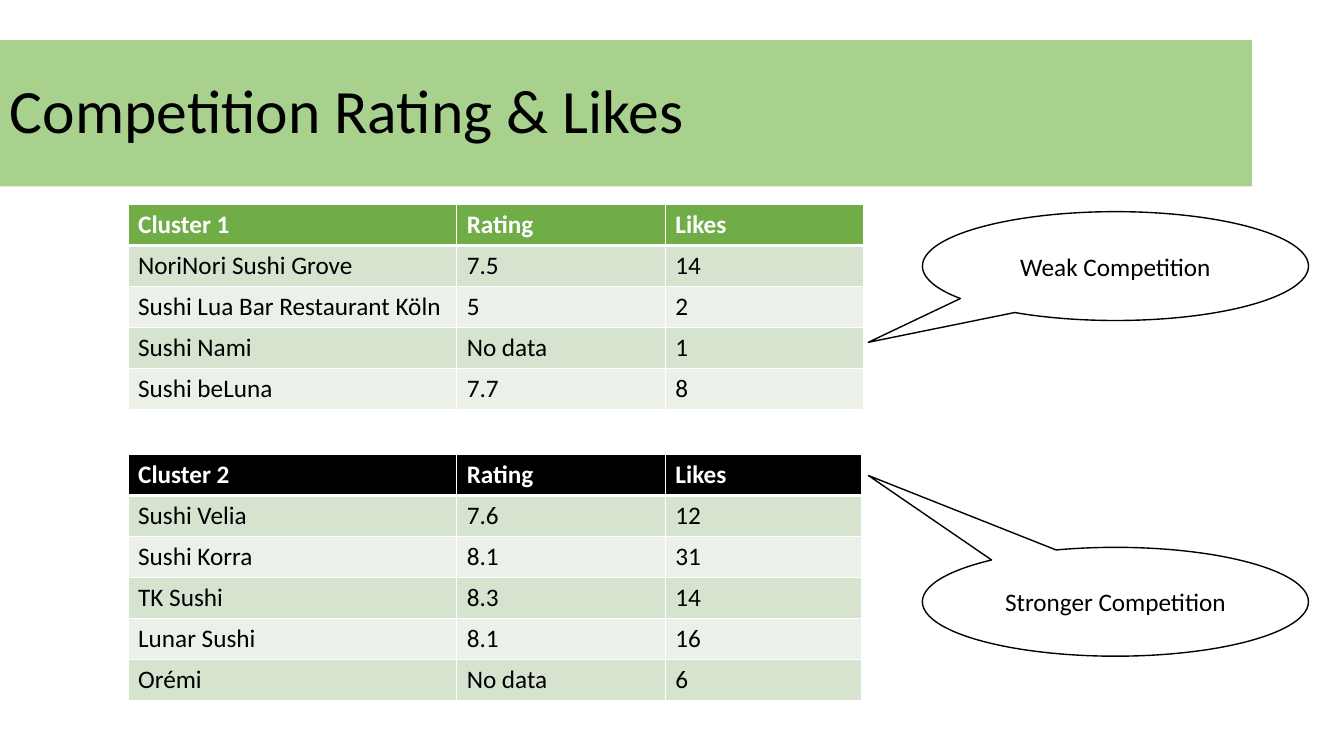
from lxml.etree import SubElement
from pptx import Presentation
from pptx.dml.color import RGBColor
from pptx.enum.shapes import MSO_SHAPE
from pptx.enum.text import MSO_ANCHOR, PP_ALIGN
from pptx.oxml.ns import qn
from pptx.util import Inches, Pt

COLORS = {
    "banner": "A9D18E",
    "green": "70AD47",
    "black": "000000",
    "white": "FFFFFF",
    "band_dark": "D5E3CF",
    "band_light": "EBF1E9",
}
HEADINGS = ("Rating", "Likes")
WEAK_CLUSTER = [
    ("Cluster 1", *HEADINGS),
    ("NoriNori Sushi Grove", "7.5", "14"),
    ("Sushi Lua Bar Restaurant Köln", "5", "2"),
    ("Sushi Nami", "No data", "1"),
    ("Sushi beLuna", "7.7", "8"),
]
STRONG_CLUSTER = [
    ("Cluster 2", *HEADINGS),
    ("Sushi Velia", "7.6", "12"),
    ("Sushi Korra", "8.1", "31"),
    ("TK Sushi", "8.3", "14"),
    ("Lunar Sushi", "8.1", "16"),
    ("Orémi", "No data", "6"),
]


class SlideBuilder:
    font_name = "Calibri"
    body_size = 18
    row_share = 5.42

    def __init__(self, deck):
        self.deck = deck
        self.slide = deck.slides.add_slide(deck.slide_layouts[6])

    def across(self, share):
        return round(self.deck.slide_width * share / 100)

    def down(self, share):
        return round(self.deck.slide_height * share / 100)

    def color(self, key):
        return RGBColor.from_string(COLORS[key])

    def paint(self, target, key):
        target.fill.solid()
        target.fill.fore_color.rgb = self.color(key)

    def label(self, frame, text, size, key="black", bold=False, align=PP_ALIGN.LEFT):
        frame.text = text
        paragraph = frame.paragraphs[0]
        paragraph.alignment = align
        font = paragraph.font
        font.name, font.size, font.bold = self.font_name, Pt(size), bold
        font.color.rgb = self.color(key)
        return paragraph

    def shape(self, preset, left, top, width, height, fill):
        shape = self.slide.shapes.add_shape(
            preset, self.across(left), self.down(top), self.across(width), self.down(height))
        shape.shadow.inherit = False
        self.paint(shape, fill)
        shape.text_frame.word_wrap = True
        shape.text_frame.vertical_anchor = MSO_ANCHOR.MIDDLE
        return shape

    def banner(self, text):
        banner = self.shape(MSO_SHAPE.RECTANGLE, 0, 5.33, 93.15, 19.33, "banner")
        banner.line.fill.background()
        self.label(banner.text_frame, text, 44).line_spacing = 0.9

    def callout(self, text, top, tip):
        callout = self.shape(MSO_SHAPE.OVAL_CALLOUT, 68.63, top, 28.73, 14.4, "white")
        callout.line.color.rgb = self.color("black")
        callout.line.width = Pt(1)
        for index, offset in enumerate(tip):
            callout.adjustments[index] = offset
        self.label(callout.text_frame, text, self.body_size, align=PP_ALIGN.CENTER)

    def borders(self, cell, row):
        weights = {"L": 1, "R": 1, "T": 3 if row == 1 else 1, "B": 3 if row == 0 else 1}
        properties = cell._tc.get_or_add_tcPr()
        for side, weight in weights.items():
            edge = SubElement(properties, qn(f"a:ln{side}"), w=str(Pt(weight)))
            stroke = SubElement(edge, qn("a:solidFill"))
            SubElement(stroke, qn("a:srgbClr"), val=COLORS["white"])

    def cluster(self, records, top, column_shares, header_fill):
        table = self.slide.shapes.add_table(
            len(records), len(column_shares), self.across(9.53), self.down(top),
            self.across(sum(column_shares)), self.down(self.row_share * len(records))).table
        for column, share in zip(table.columns, column_shares):
            column.width = self.across(share)
        for row, record in enumerate(records):
            table.rows[row].height = self.down(self.row_share)
            header = row == 0
            band = header_fill if header else "band_dark" if row % 2 else "band_light"
            for column, text in enumerate(record):
                cell = table.cell(row, column)
                self.borders(cell, row)
                self.paint(cell, band)
                self.label(cell.text_frame, text, self.body_size,
                           "white" if header else "black", header)


def main():
    deck = Presentation()
    deck.slide_width, deck.slide_height = Inches(13.33), Inches(7.5)
    builder = SlideBuilder(deck)
    builder.banner("Competition Rating & Likes")
    builder.cluster(WEAK_CLUSTER, 27.07, (24.45, 15.53, 14.78), "green")
    builder.cluster(STRONG_CLUSTER, 60.13, (24.45, 15.53, 14.63), "black")
    builder.callout("Weak Competition", 28, (-0.64, 0.7))
    builder.callout("Stronger Competition", 72.4, (-0.64, -1.16))
    deck.save("out.pptx")


if __name__ == "__main__":
    main()
